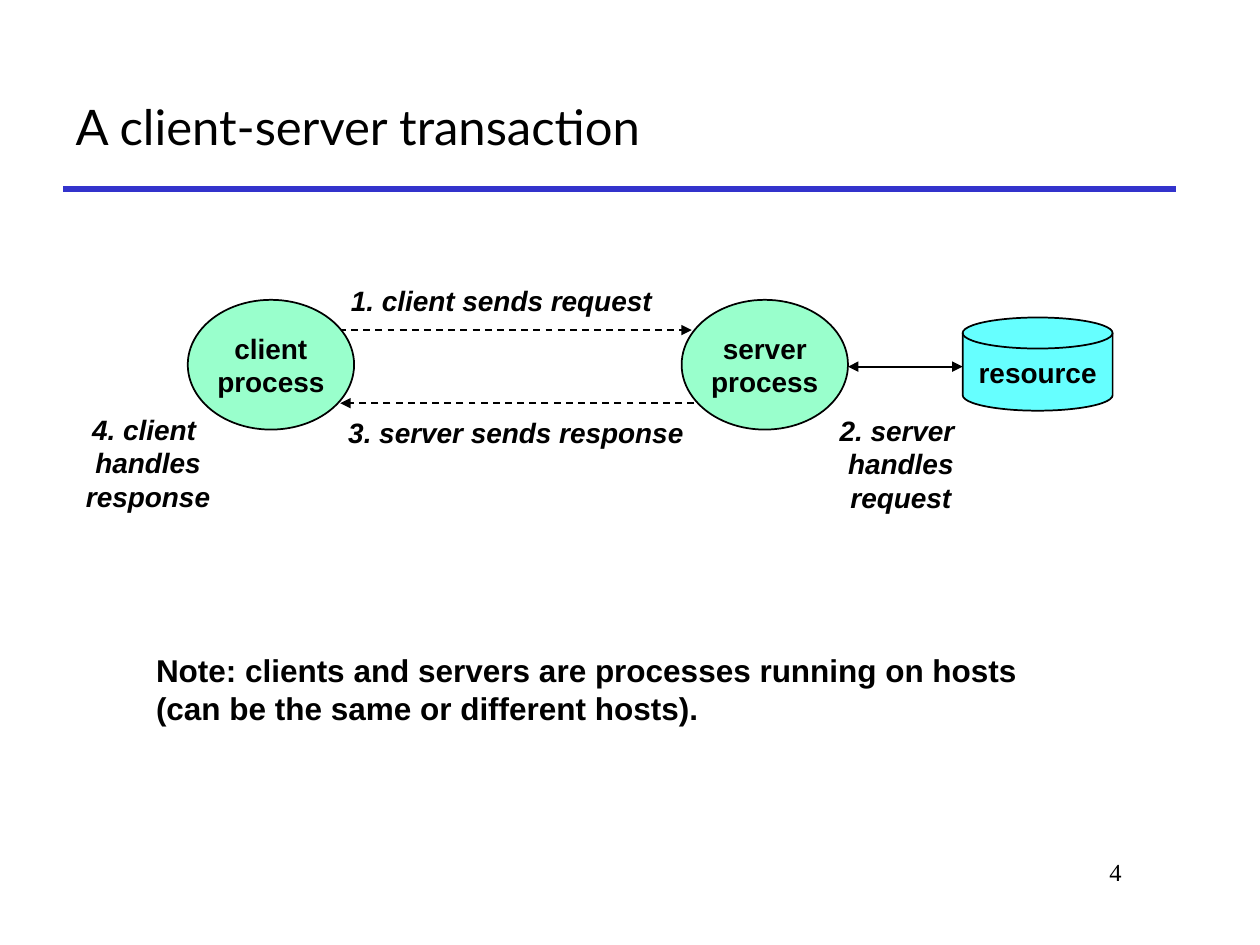
from dataclasses import dataclass

from lxml.etree import SubElement
from pptx import Presentation
from pptx.dml.color import RGBColor
from pptx.enum.dml import MSO_LINE
from pptx.enum.shapes import MSO_CONNECTOR, MSO_SHAPE
from pptx.enum.text import MSO_ANCHOR, PP_ALIGN
from pptx.oxml.ns import qn
from pptx.util import Inches, Pt


@dataclass(frozen=True)
class Theme:
    ink: str = "000000"
    rule: str = "3333CC"
    process: str = "99FFCC"
    resource: str = "66FFFF"
    title_font: str = "Lato"
    body_font: str = "Arial"
    number_font: str = "Times New Roman"
    title_size: int = 28
    note_size: int = 18
    label_size: int = 16
    number_size: int = 14


def write_text(shape, text, *, font, size, color, bold=False, italic=False,
               align=PP_ALIGN.LEFT, anchor=MSO_ANCHOR.TOP, wrap=False):
    """Fill a shape with one paragraph per line of text."""
    frame = shape.text_frame
    frame.text = text
    frame.word_wrap = wrap
    frame.vertical_anchor = anchor
    for paragraph in frame.paragraphs:
        paragraph.alignment = align
        paragraph.font.name = font
        paragraph.font.size = Pt(size)
        paragraph.font.bold = bold
        paragraph.font.italic = italic
        paragraph.font.color.rgb = RGBColor.from_string(color)


class SlideBuilder:
    """Draws themed elements on one slide; every length is in inches."""

    def __init__(self, slide, theme):
        self.slide = slide
        self.theme = theme

    def title(self, text, *box):
        title = self.slide.shapes.title
        title.left, title.top, title.width, title.height = map(Inches, box)
        write_text(title, text, font=self.theme.title_font,
                   size=self.theme.title_size, color=self.theme.ink,
                   anchor=MSO_ANCHOR.MIDDLE, wrap=True)

    def text(self, text, *box, **text_format):
        shape = self.slide.shapes.add_textbox(*map(Inches, box))
        settings = dict(font=self.theme.body_font, color=self.theme.ink)
        write_text(shape, text, **(settings | text_format))

    def label(self, text, *box):
        self.text(text, *box, size=self.theme.label_size, bold=True,
                  italic=True, align=PP_ALIGN.CENTER,
                  anchor=MSO_ANCHOR.MIDDLE)

    def node(self, kind, text, fill, *box):
        shape = self.slide.shapes.add_shape(kind, *map(Inches, box))
        shape.shadow.inherit = False
        shape.fill.solid()
        shape.fill.fore_color.rgb = RGBColor.from_string(fill)
        shape.line.color.rgb = RGBColor.from_string(self.theme.ink)
        shape.line.width = Pt(1)
        write_text(shape, text, font=self.theme.body_font,
                   size=self.theme.label_size, color=self.theme.ink, bold=True,
                   align=PP_ALIGN.CENTER, anchor=MSO_ANCHOR.MIDDLE)

    def line(self, start, end, y, *, color=None, width=1, dashed=False,
             arrows=()):
        """Draw a level line; arrows names its pointed ends, headEnd first."""
        connector = self.slide.shapes.add_connector(
            MSO_CONNECTOR.STRAIGHT, *map(Inches, (start, y, end, y)))
        connector.line.color.rgb = RGBColor.from_string(color or self.theme.ink)
        connector.line.width = Pt(width)
        if dashed:
            connector.line.dash_style = MSO_LINE.DASH
        outline = connector.line._get_or_add_ln()
        for arrow in arrows:
            SubElement(outline, qn(f"a:{arrow}"), type="triangle")
        SubElement(connector._element.spPr, qn("a:effectLst"))


def main():
    presentation = Presentation()
    presentation.slide_width = Inches(10)
    presentation.slide_height = Inches(7.5)
    slide = presentation.slides.add_slide(presentation.slide_layouts[5])
    theme = Theme()
    builder = SlideBuilder(slide, theme)

    builder.line(0.5, 9.33, 1.5, color=theme.rule, width=3)
    builder.title("A client-server transaction", 0.5, 0.5, 8.83, 1)

    builder.line(2.69, 5.49, 2.62, dashed=True, arrows=["tailEnd"])
    for name, left in (("client", 1.49), ("server", 5.41)):
        builder.node(MSO_SHAPE.OVAL, f"{name}\nprocess", theme.process,
                     left, 2.38, 1.32, 1.03)
    builder.line(5.51, 2.7, 3.2, dashed=True, arrows=["tailEnd"])
    builder.line(6.73, 7.64, 2.91, arrows=["headEnd", "tailEnd"])
    builder.node(MSO_SHAPE.FLOWCHART_MAGNETIC_DISK, "resource", theme.resource,
                 7.64, 2.52, 1.19, 0.74)

    builder.label("1. client sends request", 2.68, 2.2, 2.6, 0.37)
    builder.label("2. server \nhandles\nrequest", 6.56, 3.23, 1.18, 0.9)
    builder.label("3. server sends response", 2.66, 3.25, 2.87, 0.37)
    builder.label("4. client \nhandles\nresponse", 0.58, 3.22, 1.19, 0.9)

    builder.text("Note: clients and servers are processes running on hosts\n"
                 "(can be the same or different hosts).",
                 1.14, 5.12, 7.1, 0.7, size=theme.note_size, bold=True)
    builder.text("4", 7.58, 6.75, 1.42, 0.5, font=theme.number_font,
                 size=theme.number_size, align=PP_ALIGN.RIGHT, wrap=True)

    presentation.save("out.pptx")


if __name__ == "__main__":
    main()
